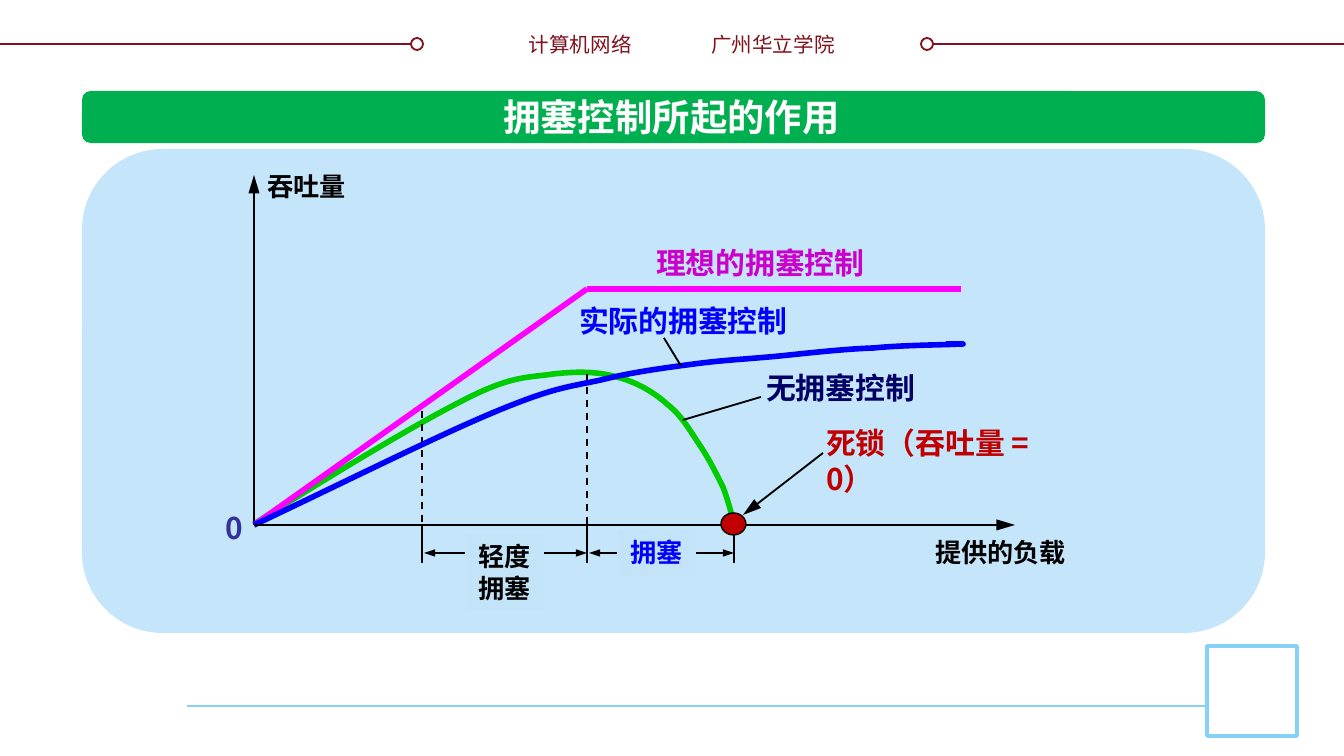
from lxml import etree
from pptx import Presentation
from pptx.dml.color import RGBColor
from pptx.enum.dml import MSO_LINE
from pptx.enum.shapes import MSO_CONNECTOR, MSO_SHAPE
from pptx.enum.text import MSO_ANCHOR, PP_ALIGN
from pptx.oxml.ns import qn
from pptx.util import Emu, Pt

STRAIGHT = MSO_CONNECTOR.STRAIGHT
DASH = MSO_LINE.DASH
RECTANGLE, ROUNDED, OVAL = MSO_SHAPE.RECTANGLE, MSO_SHAPE.ROUNDED_RECTANGLE, MSO_SHAPE.OVAL
LEFT, CENTER, RIGHT = PP_ALIGN.LEFT, PP_ALIGN.CENTER, PP_ALIGN.RIGHT
TOP = MSO_ANCHOR.TOP

WIDTH, HEIGHT = 1344, 756
SCALE = 9144000 / WIDTH  # EMU in one px


class Theme:
    FONT = "Noto Sans CJK SC"
    WHITE, BLACK = "FFFFFF", "000000"
    MAROON, SKY = "7F131F", "85D1F7"
    PANEL, LABEL, BANNER = "C5E5FB", "C3E3F9", "00B050"
    GREEN, BLUE, MAGENTA = "00CC00", "0000FF", "FF00FF"
    IDEAL, NAVY, ORIGIN, RED = "CC00CC", "000066", "333399", "C00000"
    HEADER, AXIS, CURVE, TITLE = 11, 14, 16, 20
    LEADING = 1.2


# Plot positions
ORIGIN_X, AXIS_Y = 254, 525
MILD_X, HEAVY_X, DEADLOCK_X = 422, 587, 734
IDEAL_Y, SPAN_Y, TICK_END = 289, 553, 563

# Cubic curves: the start, then two handles and a knot for each segment
UNCONTROLLED = [
    (254, 524), (333, 474), (413, 426), (462, 401), (512, 375), (528, 378), (554, 374),
    (581, 371), (601, 372), (620, 378), (638, 383), (655, 393), (668, 405),
    (681, 415), (689, 429), (699, 444), (708, 457), (716, 473), (723, 487),
    (728, 500), (731, 512), (734, 524)]
ACTUAL = [
    (254, 525), (347, 481), (439, 435), (497, 411), (555, 387), (569, 387), (601, 380),
    (633, 372), (664, 368), (694, 364), (724, 360), (749, 359), (780, 356),
    (809, 353), (844, 349), (874, 348), (904, 345), (948, 345), (960, 344),
    (972, 344), (948, 344), (946, 344)]


def px(value):
    return Emu(round(value * SCALE))


def set_values(target, values):
    for name, value in values.items():
        setattr(target, name, value)


def paint_line(line, color, width):
    line.color.rgb = RGBColor.from_string(color)
    line.width = Pt(width)


def add_line(slide, start, end, color=Theme.BLACK, width=1, dash=None,
             heads=(), head_size=("med", "lg")):
    connector = slide.shapes.add_connector(STRAIGHT, *map(px, (*start, *end)))
    paint_line(connector.line, color, width)
    if dash:
        connector.line.dash_style = dash
    outline = connector.line._get_or_add_ln()
    for head in heads:
        etree.SubElement(outline, qn("a:" + head), type="triangle",
                         w=head_size[0], len=head_size[1])
    etree.SubElement(connector._element.spPr, qn("a:effectLst"))
    return connector


def add_block(slide, kind, box, fill, line=None, width=1):
    shape = slide.shapes.add_shape(kind, *map(px, box))
    shape.shadow.inherit = False
    shape.fill.solid()
    shape.fill.fore_color.rgb = RGBColor.from_string(fill)
    if line:
        paint_line(shape.line, line, width)
    else:
        shape.line.fill.background()
    return shape


def write_text(shape, lines, size, color, bold=True, align=LEFT, wrap=False):
    frame = shape.text_frame
    set_values(frame, {"text": lines, "word_wrap": wrap, "vertical_anchor": TOP})
    for paragraph in frame.paragraphs:
        set_values(paragraph, {"alignment": align, "line_spacing": Pt(size * Theme.LEADING)})
        for run in paragraph.runs:
            run.font.color.rgb = RGBColor.from_string(color)
            set_values(run.font, {"size": Pt(size), "bold": bold, "name": Theme.FONT})
            etree.SubElement(run.font._element, qn("a:ea"), typeface=Theme.FONT)


def add_text(slide, box, text, size, color, **options):
    text_box = slide.shapes.add_textbox(*map(px, box))
    write_text(text_box, text, size, color, **options)
    return text_box


def add_curve(slide, points, color):
    builder = slide.shapes.build_freeform(*points[0], scale=SCALE)
    builder.add_line_segments(points[1:], close=False)
    shape = builder.convert_to_shape()
    shape.shadow.inherit = False
    shape.fill.background()
    paint_line(shape.line, color, 3)
    # Each three straight steps become one cubic segment
    steps = list(shape._element.iter(qn("a:lnTo")))
    for first, second, knot in zip(steps[::3], steps[1::3], steps[2::3]):
        cubic = etree.Element(qn("a:cubicBezTo"))
        first.addprevious(cubic)
        for step in (first, second, knot):
            cubic.append(step[0])
            step.getparent().remove(step)


def add_page_frame(slide):
    # Header rules, each closed by a ring
    for start, end, ring in ((0, 423, 411), (921, WIDTH, 921)):
        add_line(slide, (start, 44), (end, 44), Theme.MAROON)
        add_block(slide, OVAL, (ring, 38, 12, 12), Theme.WHITE, Theme.MAROON)
    header = {"size": Theme.HEADER, "color": Theme.MAROON, "bold": False}
    add_text(slide, (515, 25, 130, 39), "计算机网络", align=RIGHT, **header)
    add_text(slide, (698, 25, 156, 39), "广州华立学院", wrap=True, **header)
    # Footer
    add_line(slide, (187, 706), (1207, 706), Theme.SKY, 1.5)
    add_block(slide, RECTANGLE, (1207, 646, 90, 90), Theme.WHITE, Theme.SKY, 2)
    # Panel and title
    add_block(slide, ROUNDED, (82, 149, 1183, 484), Theme.PANEL)
    add_block(slide, ROUNDED, (82, 91, 1183, 52), Theme.BANNER)
    add_text(slide, (483, 88, 377, 59), "拥塞控制所起的作用",
             Theme.TITLE, Theme.WHITE, align=CENTER)


def add_load_ranges(slide):
    for start, end in ((MILD_X, HEAVY_X), (HEAVY_X, DEADLOCK_X)):
        add_line(slide, (start + 2, SPAN_Y), (end, SPAN_Y),
                 heads=("headEnd", "tailEnd"), head_size=("sm", "med"))
    for x, top in ((MILD_X, 411), (HEAVY_X, 374)):
        add_line(slide, (x, top), (x, AXIS_Y), dash=DASH)
    for x in (MILD_X, HEAVY_X, DEADLOCK_X):
        add_line(slide, (x, AXIS_Y), (x, TICK_END))
    for box, text, color in (((617, 530, 79, 46), "拥塞", Theme.BLUE),
                             ((465, 534, 79, 77), "轻度\n拥塞", Theme.BLACK)):
        label = add_block(slide, RECTANGLE, box, Theme.LABEL)
        write_text(label, text, Theme.AXIS, color, align=CENTER)


def add_plot(slide):
    origin = (ORIGIN_X, AXIS_Y)
    # Curves and ranges
    add_curve(slide, UNCONTROLLED, Theme.GREEN)
    add_load_ranges(slide)
    add_line(slide, origin, (ORIGIN_X, 175), heads=("tailEnd",))
    add_line(slide, origin, (HEAVY_X, IDEAL_Y), Theme.MAGENTA, 3)
    add_line(slide, (HEAVY_X, IDEAL_Y), (961, IDEAL_Y), Theme.MAGENTA, 3)
    add_curve(slide, ACTUAL, Theme.BLUE)
    add_line(slide, origin, (1015, AXIS_Y), heads=("tailEnd",))
    # Leaders from the labels to the curves
    add_line(slide, (761, 397), (683, 420))
    add_line(slide, (664, 338), (681, 366))
    add_line(slide, (823, 453), (743, 515), heads=("tailEnd",))
    add_block(slide, OVAL, (721, 513, 25, 22), Theme.RED, Theme.BLACK, 0.75)
    # Labels
    for box, text, size, color in (
            ((254, 164, 106, 46), "吞吐量", Theme.AXIS, Theme.BLACK),
            ((922, 530, 159, 46), "提供的负载", Theme.AXIS, Theme.BLACK),
            ((212, 503, 46, 50), "0", Theme.CURVE, Theme.ORIGIN),
            ((643, 238, 238, 50), "理想的拥塞控制", Theme.CURVE, Theme.IDEAL),
            ((566, 296, 238, 50), "实际的拥塞控制", Theme.CURVE, Theme.BLUE),
            ((753, 363, 177, 50), "无拥塞控制", Theme.CURVE, Theme.NAVY)):
        add_text(slide, box, text, size, color)
    deadlock = add_text(slide, (813, 418, 297, 50), "死锁（吞吐量 = 0）",
                        Theme.CURVE, Theme.RED, wrap=True)
    deadlock.text_frame.margin_right = px(54)


def main():
    presentation = Presentation()
    set_values(presentation, {"slide_width": px(WIDTH), "slide_height": px(HEIGHT)})
    slide = presentation.slides.add_slide(presentation.slide_layouts[6])
    add_page_frame(slide)
    add_plot(slide)
    presentation.save("out.pptx")


if __name__ == "__main__":
    main()
